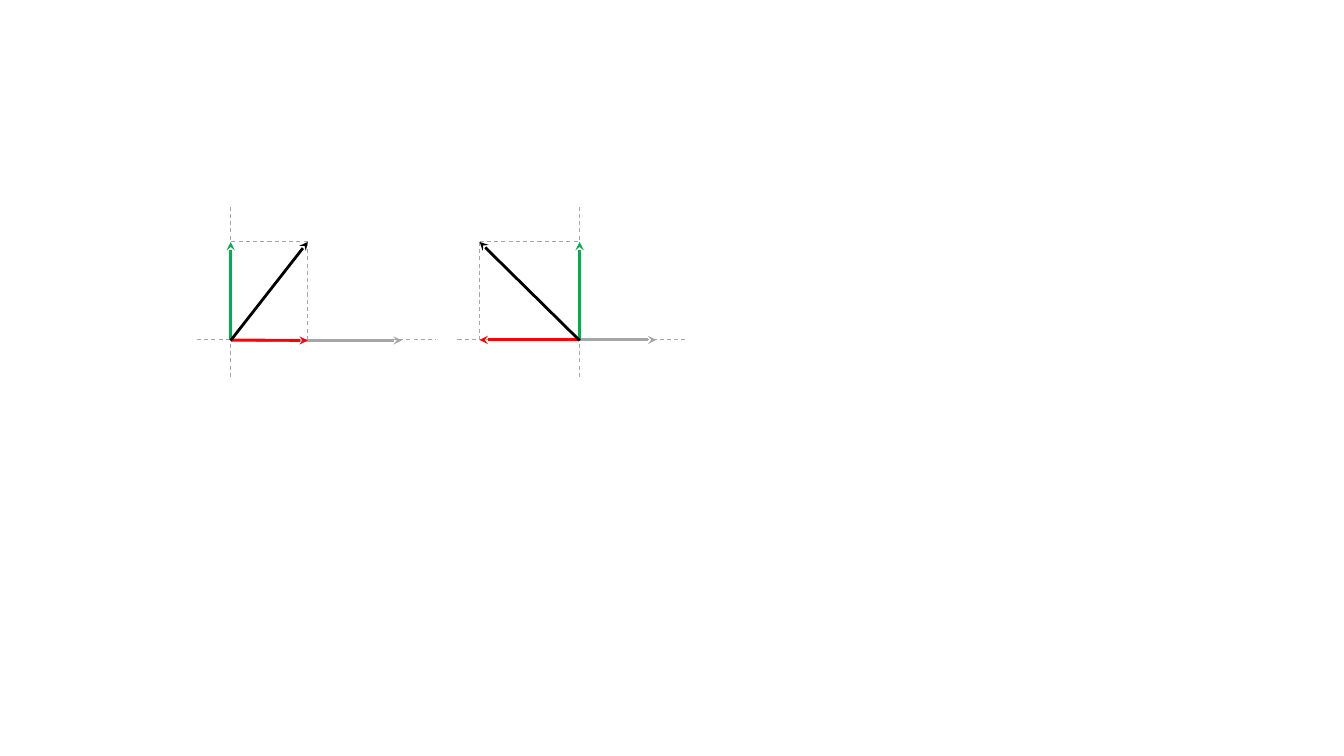
from lxml import etree
from pptx import Presentation
from pptx.dml.color import RGBColor
from pptx.enum import dml, shapes
from pptx.oxml import ns
from pptx.util import Pt

COLORS = {"guide": "A6A6A6", "horizontal": "FF0000",
          "vertical": "00B050", "resultant": "000000"}
AXIS_TOP, AXIS_BOTTOM = 147.6, 270
TIP_Y, ORIGIN_Y = 172.8, 242.8


def add_line(slide, start, end, color, width):
    points = [Pt(value) for value in (*start, *end)]
    line = slide.shapes.add_connector(shapes.MSO_CONNECTOR.STRAIGHT, *points)
    line.line.color.rgb = RGBColor.from_string(COLORS[color])
    line.line.width = Pt(width)
    etree.SubElement(line._element.spPr, ns.qn("a:effectLst"))
    return line


def add_guide(slide, start, end):
    guide = add_line(slide, start, end, "guide", 0.75)
    guide.line.dash_style = dml.MSO_LINE.DASH


def add_vector(slide, start, end, color):
    vector = add_line(slide, start, end, color, 2)
    etree.SubElement(vector.line._get_or_add_ln(), ns.qn("a:tailEnd"), type="stealth")


def add_decomposition(slide, origin_x, tip_x, base_tip_x, axis_left, axis_right,
                      base_y=ORIGIN_Y, horizontal_tip_y=ORIGIN_Y):
    """Draw a vector with its two components, its axes and a base vector."""
    origin = (origin_x, ORIGIN_Y)
    tip = (tip_x, TIP_Y)
    vertical_tip = (origin_x, TIP_Y)

    add_vector(slide, (origin_x, base_y), (base_tip_x, base_y), "guide")
    add_guide(slide, (axis_left, ORIGIN_Y), (axis_right, ORIGIN_Y))
    add_guide(slide, (origin_x, AXIS_TOP), (origin_x, AXIS_BOTTOM))
    add_vector(slide, origin, (tip_x, horizontal_tip_y), "horizontal")
    add_guide(slide, tip, (tip_x, ORIGIN_Y))
    add_guide(slide, tip, vertical_tip)
    add_vector(slide, origin, vertical_tip, "vertical")
    add_vector(slide, (origin_x, 243.2), tip, "resultant")


def main():
    presentation = Presentation()
    presentation.slide_width, presentation.slide_height = Pt(960), Pt(540)
    slide = presentation.slides.add_slide(presentation.slide_layouts[6])
    add_decomposition(slide, origin_x=164.8, tip_x=219.8, base_tip_x=287,
                      axis_left=140.6, axis_right=311,
                      base_y=243.2, horizontal_tip_y=243.2)
    add_decomposition(slide, origin_x=414, tip_x=342.6, base_tip_x=468.8,
                      axis_left=326.8, axis_right=489)
    presentation.save("out.pptx")


if __name__ == "__main__":
    main()
